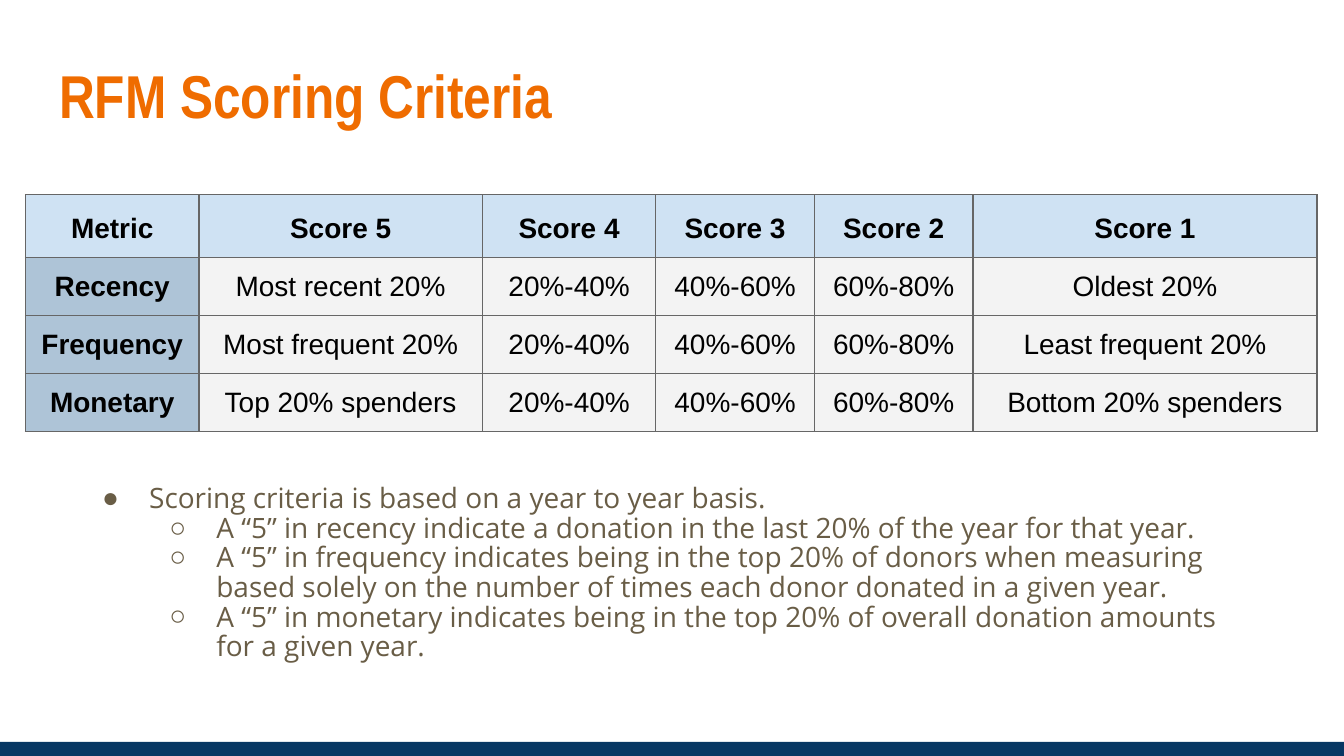
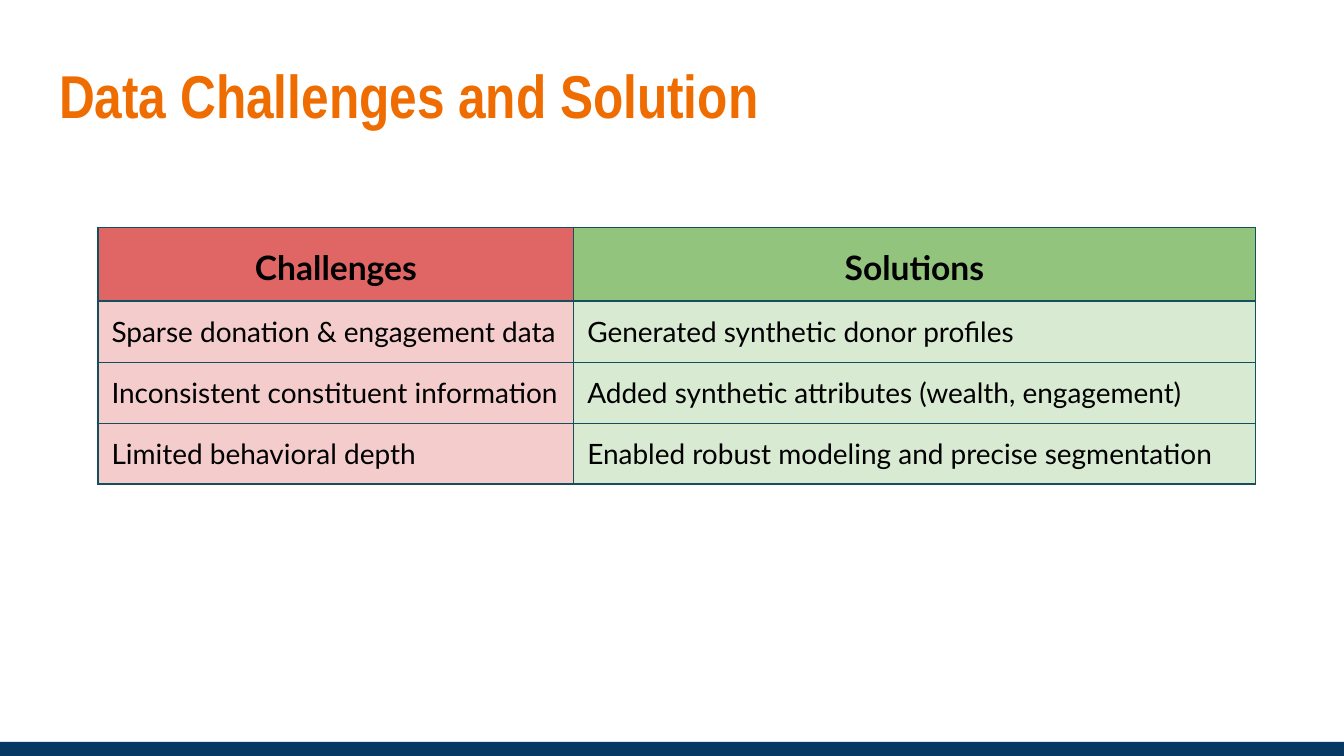
from lxml import etree
from pptx import Presentation
from pptx import util as u
from pptx.dml.color import RGBColor
from pptx.enum import shapes, text
from pptx.oxml.ns import qn

NAVY = RGBColor(0x07, 0x37, 0x63)
ORANGE = RGBColor(0xEF, 0x6C, 0x00)
BROWN = RGBColor(0x69, 0x5D, 0x46)
BLACK = RGBColor(0x00, 0x00, 0x00)
GRAY = RGBColor(0x66, 0x66, 0x66)
TEAL = RGBColor(0x13, 0x4F, 0x5C)
PALE_BLUE = RGBColor(0xCF, 0xE2, 0xF3)
STEEL_BLUE = RGBColor(0xAE, 0xC4, 0xD7)
PALE_GRAY = RGBColor(0xF3, 0xF3, 0xF3)
RED = RGBColor(0xE0, 0x66, 0x66)
PINK = RGBColor(0xF4, 0xCC, 0xCC)
GREEN = RGBColor(0x93, 0xC4, 0x7D)
PALE_GREEN = RGBColor(0xD9, 0xEA, 0xD3)
INSET = u.Inches(0.1)


def add_titled_slide(deck, layout_index, title):
    page = deck.slides.add_slide(deck.slide_layouts[layout_index])
    box = page.shapes.title
    box.left, box.top = u.Inches(0.34), u.Inches(0.32)
    box.width, box.height = u.Inches(9.32), u.Inches(0.77)
    frame = box.text_frame
    frame.text = title
    frame.auto_size = text.MSO_AUTO_SIZE.NONE
    frame.vertical_anchor = text.MSO_ANCHOR.MIDDLE
    frame.margin_left = frame.margin_right = INSET
    frame.margin_top = frame.margin_bottom = INSET
    para = frame.paragraphs[0]
    para.alignment = text.PP_ALIGN.LEFT
    font = para.runs[0].font
    font.name, font.size, font.bold = "Arial Narrow", u.Pt(32.4), True
    font.color.rgb = ORANGE
    return page


def add_grid(page, left, top, widths, heights, rows, header_fills, body_fills,
             border, font_name, header_size, bold_labels, body_align):
    grid = page.shapes.add_table(
        len(rows), len(widths), u.Inches(left), u.Inches(top),
        u.Inches(sum(widths)), u.Inches(sum(heights))).table
    for column, width in zip(grid.columns, widths):
        column.width = u.Inches(width)
    for i, (row, height) in enumerate(zip(rows, heights)):
        grid.rows[i].height = u.Inches(height)
        for j, label in enumerate(row):
            cell = grid.cell(i, j)
            cell.text = label
            cell.vertical_anchor = text.MSO_ANCHOR.MIDDLE
            cell.margin_left = cell.margin_right = INSET
            cell.margin_top = cell.margin_bottom = INSET
            properties = cell._tc.get_or_add_tcPr()
            for side in ("a:lnL", "a:lnR", "a:lnT", "a:lnB"):
                line = etree.SubElement(properties, qn(side), w=str(u.Pt(0.75)))
                solid = etree.SubElement(line, qn("a:solidFill"))
                etree.SubElement(solid, qn("a:srgbClr"), val=str(border))
            cell.fill.solid()
            cell.fill.fore_color.rgb = (body_fills if i else header_fills)[j]
            para = cell.text_frame.paragraphs[0]
            para.alignment = body_align if i else text.PP_ALIGN.CENTER
            if i == 0:
                para.line_spacing = 1.15
            font = para.runs[0].font
            font.name, font.size = font_name, u.Pt(15 if i else header_size)
            font.bold = i == 0 or (bold_labels and j == 0)
            font.color.rgb = BLACK


deck = Presentation()
deck.slide_width, deck.slide_height = u.Inches(10), u.Inches(5.625)

scoring = add_titled_slide(deck, 1, "RFM Scoring Criteria")

band = scoring.shapes.add_shape(
    shapes.MSO_SHAPE.RECTANGLE, 0, u.Inches(5.52), deck.slide_width, u.Inches(0.11))
band.shadow.inherit = False
band.fill.solid()
band.fill.fore_color.rgb = NAVY
band.line.fill.background()
deck.slide_master.shapes.element.append(band.element)

middle_scores = ["20%-40%", "40%-60%", "60%-80%"]
add_grid(
    scoring, 0.19, 1.45, [1.29, 2.11, 1.29, 1.18, 1.18, 2.56], [0.46] + [0.43] * 3,
    [["Metric"] + [f"Score {score}" for score in range(5, 0, -1)],
     ["Recency", "Most recent 20%", *middle_scores, "Oldest 20%"],
     ["Frequency", "Most frequent 20%", *middle_scores, "Least frequent 20%"],
     ["Monetary", "Top 20% spenders", *middle_scores, "Bottom 20% spenders"]],
    [PALE_BLUE] * 6, [STEEL_BLUE] + [PALE_GRAY] * 5,
    GRAY, "Arial", 15, True, text.PP_ALIGN.CENTER)

criteria = [
    (0, "Scoring criteria is based on a year to year basis."),
    (1, "A “5” in recency indicate a donation in the last 20% of the year for that year."),
    (1, "A “5” in frequency indicates being in the top 20% of donors when measuring "
        "based solely on the number of times each donor donated in a given year."),
    (1, "A “5” in monetary indicates being in the top 20% of overall donation amounts "
        "for a given year."),
]
body = scoring.placeholders[1]
body.left, body.top = u.Inches(0.51), u.Inches(3.51)
body.width, body.height = u.Inches(8.98), u.Inches(1.63)
frame = body.text_frame
frame.auto_size = text.MSO_AUTO_SIZE.NONE
frame.vertical_anchor = text.MSO_ANCHOR.TOP
frame.margin_left = frame.margin_right = INSET
frame.margin_top = frame.margin_bottom = INSET
frame.text = "\n".join(sentence for level, sentence in criteria)
for para, (level, sentence) in zip(frame.paragraphs, criteria):
    para.level = level
    properties = para._p.get_or_add_pPr()
    properties.set("marL", str(u.Inches(0.5 + 0.5 * level)))
    properties.set("indent", str(u.Inches(-0.35)))
    bullet_color = etree.SubElement(properties, qn("a:buClr"))
    etree.SubElement(bullet_color, qn("a:srgbClr"), val=str(BROWN))
    etree.SubElement(properties, qn("a:buChar"), char="●○"[level])
    para.space_before = u.Pt(0)
    para.line_spacing = 0.88
    font = para.runs[0].font
    font.name, font.size = "Open Sans", u.Pt(15)
    font.color.rgb = BROWN

challenges = add_titled_slide(deck, 5, "Data Challenges and Solution")
add_grid(
    challenges, 0.73, 1.69, [3.54, 5.07], [0.55, 0.46, 0.45, 0.45],
    [["Challenges", "Solutions"],
     ["Sparse donation & engagement data", "Generated synthetic donor profiles"],
     ["Inconsistent constituent information",
      "Added synthetic attributes (wealth, engagement)"],
     ["Limited behavioral depth", "Enabled robust modeling and precise segmentation"]],
    [RED, GREEN], [PINK, PALE_GREEN],
    TEAL, "Lato", 18, False, text.PP_ALIGN.LEFT)

deck.save("out.pptx")
